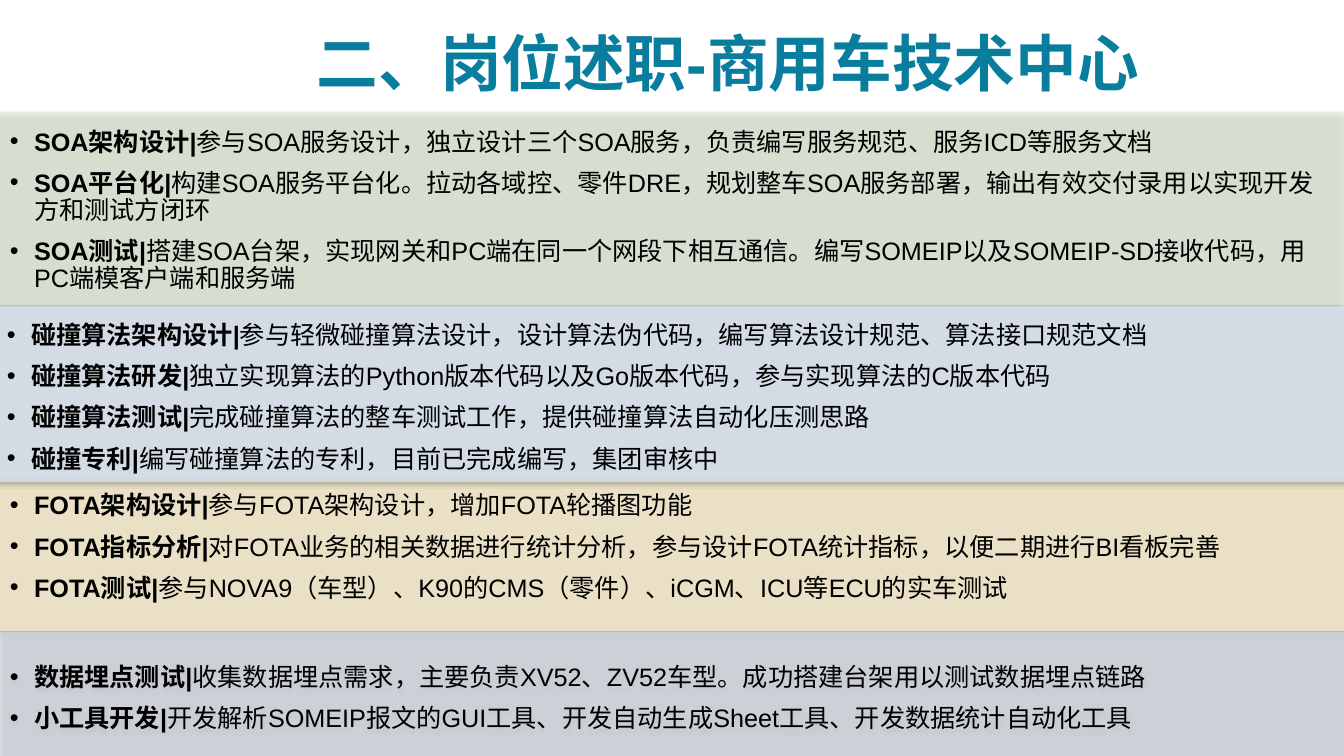
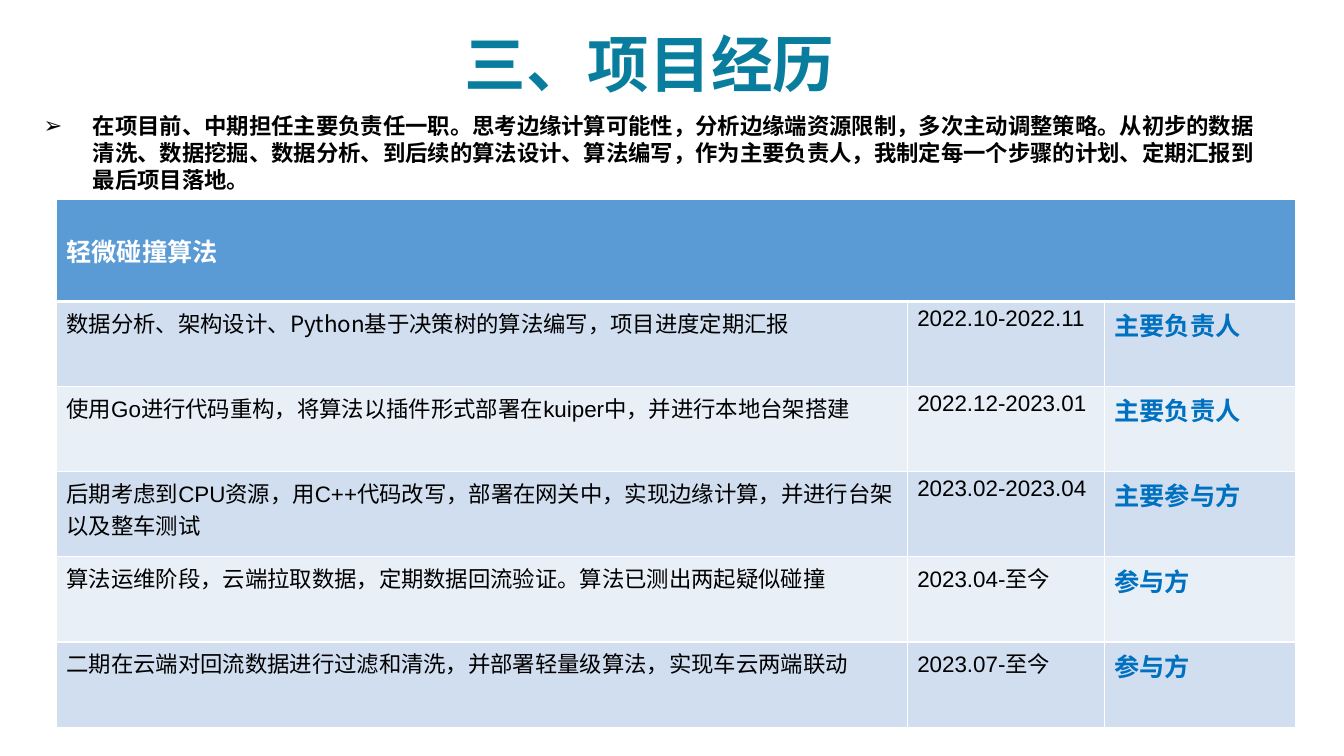
from dataclasses import dataclass
from typing import Optional

from lxml.etree import SubElement
from pptx import Presentation
from pptx.dml.color import RGBColor
from pptx.enum.shapes import MSO_SHAPE as Preset
from pptx.enum.text import MSO_ANCHOR as Anchor, PP_ALIGN as Align
from pptx.oxml.ns import qn
from pptx.util import Emu, Inches, Pt

# Shared look
COLORS = {
    "title": "087D9D", "text": "000000", "white": "FFFFFF", "role": "0070C0",
    "header": "5B9BD5", "row_dark": "D1DEEF", "row_light": "E9EFF7",
    "green": "E2F0D9", "yellow": "FFF2CC", "blue": "DEEBF7", "gray": "D6DCE5",
}
LATIN, CJK = "Arial", "Noto Sans CJK SC"
BODY_LINE = Pt(19.4)

# The slide is a grid of 40 columns and 30 rows
WIDTH, HEIGHT = Inches(13.33), Inches(7.5)
COLUMN, ROW = WIDTH / 40, HEIGHT / 30


def columns(count: float) -> Emu:
    return Emu(round(count * COLUMN))


def rows(count: float) -> Emu:
    return Emu(round(count * ROW))


@dataclass(frozen=True)
class Box:
    left: float
    top: float
    width: float
    height: float

    def place(self) -> tuple[Emu, Emu, Emu, Emu]:
        return columns(self.left), rows(self.top), columns(self.width), rows(self.height)


@dataclass(frozen=True)
class Duty:
    label: str
    detail: str


@dataclass(frozen=True)
class Band:
    color: str
    opacity: int
    box: Box
    text_box: Optional[Box]  # None puts the text in the band itself
    duties: tuple[Duty, ...]


@dataclass(frozen=True)
class Stage:
    task: str
    period: str
    role: str
    task_font: str = LATIN


BANDS = (
    Band("green", 68, Box(-0.39, 4.44, 40.38, 7.68), Box(0, 4.92, 40, 6.76), (
        Duty("SOA架构设计", "参与SOA服务设计，独立设计三个SOA服务，负责编写服务规范、服务ICD等服务文档"),
        Duty("SOA平台化", "构建SOA服务平台化。拉动各域控、零件DRE，规划整车SOA服务部署，"
                       "输出有效交付录用以实现开发方和测试方闭环"),
        Duty("SOA测试", "搭建SOA台架，实现网关和PC端在同一个网段下相互通信。"
                      "编写SOMEIP以及SOMEIP-SD接收代码，用PC端模客户端和服务端"),
    )),
    Band("yellow", 68, Box(-0.18, 19.04, 40.38, 6), Box(0, 19.36, 38, 4.92), (
        Duty("FOTA架构设计", "参与FOTA架构设计，增加FOTA轮播图功能"),
        Duty("FOTA指标分析", "对FOTA业务的相关数据进行统计分析，参与设计FOTA统计指标，以便二期进行BI看板完善"),
        Duty("FOTA测试", "参与NOVA9（车型）、K90的CMS（零件）、iCGM、ICU等ECU的实车测试"),
    )),
    Band("blue", 70, Box(-0.18, 12.16, 40.38, 6.96), Box(-0.09, 12.6, 37.4, 7.24), (
        Duty("碰撞算法架构设计", "参与轻微碰撞算法设计，设计算法伪代码，编写算法设计规范、算法接口规范文档"),
        Duty("碰撞算法研发", "独立实现算法的Python版本代码以及Go版本代码，参与实现算法的C版本代码"),
        Duty("碰撞算法测试", "完成碰撞算法的整车测试工作，提供碰撞算法自动化压测思路"),
        Duty("碰撞专利", "编写碰撞算法的专利，目前已完成编写，集团审核中"),
    )),
    Band("gray", 68, Box(0, 25.08, 40.38, 5.28), None, (
        Duty("数据埋点测试", "收集数据埋点需求，主要负责XV52、ZV52车型。成功搭建台架用以测试数据埋点链路"),
        Duty("小工具开发", "开发解析SOMEIP报文的GUI工具、开发自动生成Sheet工具、开发数据统计自动化工具"),
    )),
)

STAGES = (
    Stage("数据分析、架构设计、Python基于决策树的算法编写，项目进度定期汇报",
          "2022.10-2022.11", "主要负责人", CJK),
    Stage("使用Go进行代码重构，将算法以插件形式部署在kuiper中，并进行本地台架搭建",
          "2022.12-2023.01", "主要负责人"),
    Stage("后期考虑到CPU资源，用C++代码改写，部署在网关中，实现边缘计算，并进行台架以及整车测试",
          "2023.02-2023.04", "主要参与方"),
    Stage("算法运维阶段，云端拉取数据，定期数据回流验证。算法已测出两起疑似碰撞",
          "2023.04-至今", "参与方"),
    Stage("二期在云端对回流数据进行过滤和清洗，并部署轻量级算法，实现车云两端联动",
          "2023.07-至今", "参与方"),
)
PROJECT_NOTE = (
    "在项目前、中期担任主要负责任一职。思考边缘计算可能性，分析边缘端资源限制，多次主动调整策略。"
    "从初步的数据清洗、数据挖掘、数据分析、到后续的算法设计、算法编写，作为主要负责人，"
    "我制定每一个步骤的计划、定期汇报到最后项目落地。"
)


def rgb(name: str) -> RGBColor:
    return RGBColor.from_string(COLORS[name])


# Text helpers
def add_run(paragraph, text: str, size: float, color: str = "text",
            bold: bool = False, font: str = LATIN) -> None:
    run = paragraph.add_run()
    run.text = text
    run.font.size, run.font.bold, run.font.name = Pt(size), bold, font
    run.font.color.rgb = rgb(color)
    SubElement(run.font._element, qn("a:ea"), typeface=CJK)


def add_text_box(slide, box: Box):
    frame = slide.shapes.add_textbox(*box.place()).text_frame
    frame.word_wrap = True
    return frame


def set_bullet(paragraph, character: str, margin: float, indent: float) -> None:
    properties = paragraph._p.get_or_add_pPr()
    properties.set("marL", str(Inches(margin)))
    properties.set("indent", str(Inches(indent)))
    color = SubElement(properties, qn("a:buClr"))
    SubElement(color, qn("a:srgbClr"), val=COLORS["text"])
    SubElement(properties, qn("a:buFont"), typeface=LATIN)
    SubElement(properties, qn("a:buChar"), char=character)


def add_title(slide, text: str, box: Box) -> None:
    frame = add_text_box(slide, box)
    frame.vertical_anchor = Anchor.MIDDLE
    paragraph = frame.paragraphs[0]
    paragraph.alignment, paragraph.line_spacing = Align.CENTER, 0.9
    add_run(paragraph, text, 44, "title", bold=True)


# Colour bands with duties
def add_band_shape(slide, band: Band):
    shape = slide.shapes.add_shape(Preset.RECTANGLE, *band.box.place())
    shape.fill.solid()
    shape.fill.fore_color.rgb = rgb(band.color)
    shape.line.fill.background()
    shape.shadow.inherit = False
    properties = shape._element.spPr
    fill_color = properties.find(qn("a:solidFill")).find(qn("a:srgbClr"))
    SubElement(fill_color, qn("a:alpha"), val=str(band.opacity * 1000))
    shadow = SubElement(properties.find(qn("a:effectLst")), qn("a:outerShdw"),
                        blurRad=str(Pt(3.1)), dist=str(Pt(1.6)), dir="5400000", rotWithShape="0")
    shadow_color = SubElement(shadow, qn("a:srgbClr"), val=COLORS["text"])
    SubElement(shadow_color, qn("a:alpha"), val="38000")
    return shape


def add_band(slide, band: Band) -> None:
    shape = add_band_shape(slide, band)
    if band.text_box:
        frame = add_text_box(slide, band.text_box)
    else:
        frame = shape.text_frame
        frame.word_wrap, frame.vertical_anchor = True, Anchor.MIDDLE
    for index, duty in enumerate(band.duties):
        paragraph = frame.add_paragraph() if index else frame.paragraphs[0]
        paragraph.alignment = Align.LEFT
        paragraph.line_spacing, paragraph.space_before = BODY_LINE, Pt(10)
        set_bullet(paragraph, "•", 0.24, -0.31)
        add_run(paragraph, f"{duty.label}|", 18, bold=True)
        add_run(paragraph, duty.detail, 18)


# Project table
def set_borders(cell, bottom: float = 0.96) -> None:
    properties = cell._tc.get_or_add_tcPr()
    widths = {"a:lnL": 0.96, "a:lnR": 0.96, "a:lnT": 0.96, "a:lnB": bottom}
    for index, (tag, width) in enumerate(widths.items()):
        line = properties.makeelement(qn(tag), {"w": str(Pt(width))})
        fill = SubElement(line, qn("a:solidFill"))
        SubElement(fill, qn("a:srgbClr"), val=COLORS["white"])
        properties.insert(index, line)


def style_cell(cell, fill: str, bottom: float = 0.96) -> None:
    cell.fill.solid()
    cell.fill.fore_color.rgb = rgb(fill)
    cell.margin_left = cell.margin_right = Inches(0.1)
    cell.margin_top = cell.margin_bottom = Inches(0.05)
    set_borders(cell, bottom)


def add_project_table(slide, heading: str, stages: tuple[Stage, ...], box: Box) -> None:
    table = slide.shapes.add_table(len(stages) + 1, 3, *box.place()).table
    for column, width in zip(table.columns, (25.32, 5.87, 5.68)):
        column.width = columns(width)
    for index, row in enumerate(table.rows):
        row.height = rows(3.38 if index else 4.04)
    for cell in table.rows[0].cells:
        style_cell(cell, "header", bottom=3)
    title_cell = table.cell(0, 0)
    title_cell.merge(table.cell(0, 2))
    title_cell.vertical_anchor = Anchor.MIDDLE
    add_run(title_cell.text_frame.paragraphs[0], heading, 18, "white", True, CJK)
    for index, stage in enumerate(stages, 1):
        cells = tuple(table.rows[index].cells)
        for cell in cells:
            style_cell(cell, "row_dark" if index % 2 else "row_light")
        task, period, role = (cell.text_frame.paragraphs[0] for cell in cells)
        add_run(task, stage.task, 16, font=stage.task_font)
        add_run(period, stage.period, 16)
        add_run(role, stage.role, 18, "role", True, CJK)


def add_note(slide, text: str, box: Box) -> None:
    paragraph = add_text_box(slide, box).paragraphs[0]
    paragraph.line_spacing = BODY_LINE
    set_bullet(paragraph, "➢", 0.49, -0.49)
    add_run(paragraph, text, 16, bold=True, font=CJK)


def main() -> None:
    presentation = Presentation()
    presentation.slide_width, presentation.slide_height = WIDTH, HEIGHT
    blank = presentation.slide_layouts[6]

    # Duties by topic
    duties_slide = presentation.slides.add_slide(blank)
    add_title(duties_slide, "二、岗位述职-商用车技术中心", Box(3.33, 1.08, 36.67, 3.12))
    for band in BANDS:
        add_band(duties_slide, band)

    # Project history
    project_slide = presentation.slides.add_slide(blank)
    add_title(project_slide, "三、项目经历", Box(1, 1.12, 36.67, 3.12))
    add_project_table(project_slide, "轻微碰撞算法", STAGES, Box(1.68, 7.92, 36.87, 20.94))
    add_note(project_slide, PROJECT_NOTE, Box(1, 4.24, 36.87, 3.68))

    presentation.save("out.pptx")


if __name__ == "__main__":
    main()
